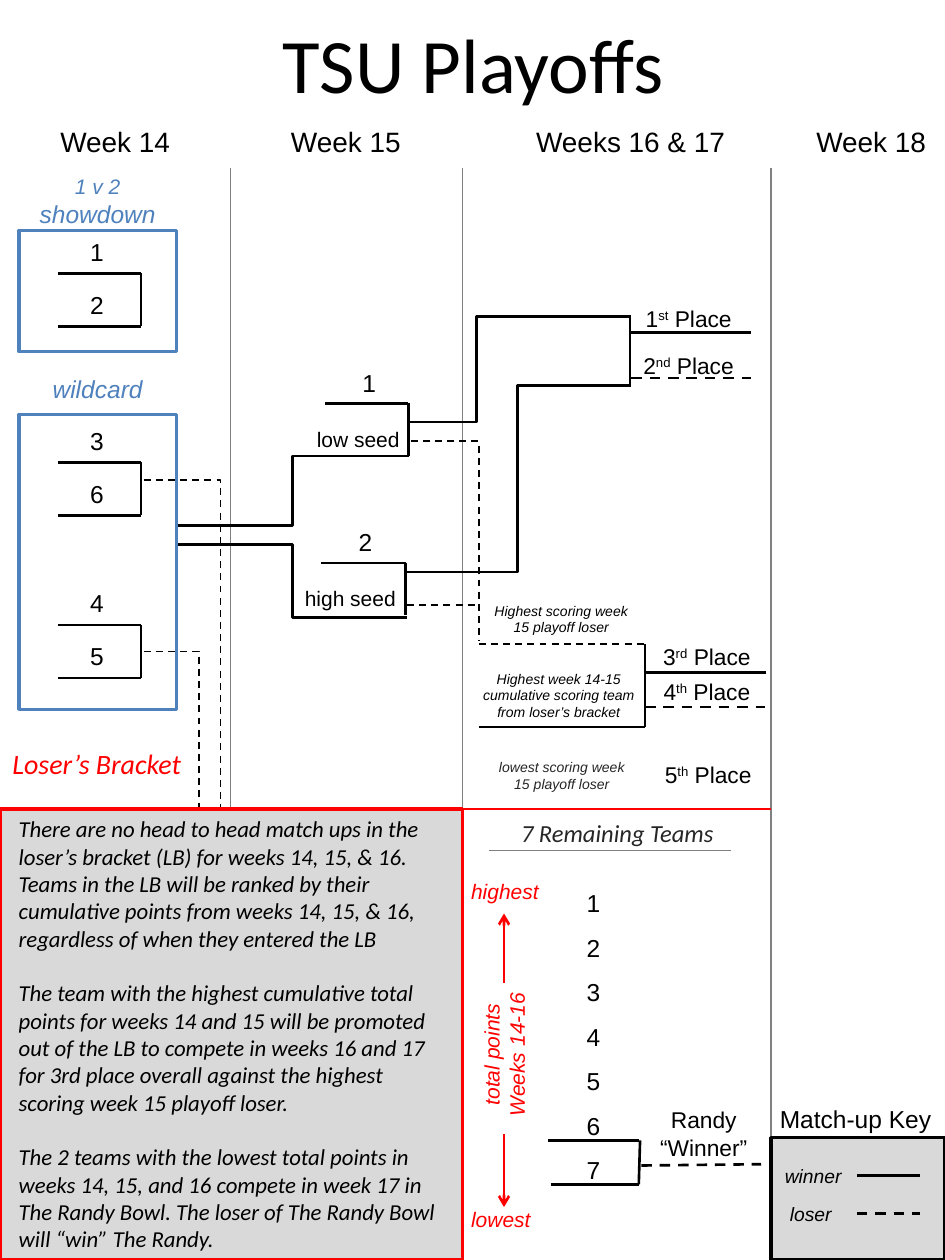
"""Build the TSU Playoffs bracket slide."""
from dataclasses import dataclass
from typing import Any, NamedTuple, Union

from lxml import etree
from pptx import Presentation, util as u
from pptx.dml.color import RGBColor
from pptx.enum import dml, shapes, text
from pptx.oxml.ns import qn

BLACK = RGBColor(0x00, 0x00, 0x00)
CHARCOAL = RGBColor(0x26, 0x26, 0x26)
GREY = RGBColor(0x80, 0x80, 0x80)
PANEL = RGBColor(0xD9, 0xD9, 0xD9)
RED = RGBColor(0xFF, 0x00, 0x00)
BLUE = RGBColor(0x4F, 0x81, 0xBD)
LEFT, CENTER, RIGHT = text.PP_ALIGN.LEFT, text.PP_ALIGN.CENTER, text.PP_ALIGN.RIGHT
CM_PER_UNIT = 2.54

RULES = (
    "There are no head to head match ups in the loser’s bracket (LB) for weeks 14, 15, & 16. "
    "Teams in the LB will be ranked by their cumulative points from weeks 14, 15, & 16, "
    "regardless of when they entered the LB\n"
    "The team with the highest cumulative total points for weeks 14 and 15 will be promoted "
    "out of the LB to compete in weeks 16 and 17 for 3rd place overall against the highest "
    "scoring week 15 playoff loser.\n"
    "The 2 teams with the lowest total points in weeks 14, 15, and 16 compete in week 17 in "
    "The Randy Bowl. The loser of The Randy Bowl will “win” The Randy."
)


class Run(NamedTuple):
    words: str
    size: float
    raised: bool = False


@dataclass
class Label:
    words: Union[str, tuple[Run, ...]]
    left: float
    top: float
    width: float
    height: float = 0.34
    size: float = 14
    color: RGBColor = BLACK
    italic: bool = False
    align: Any = CENTER
    font: str = "Arial"
    rotation: float = 0
    gap: float = 0


@dataclass
class Line:
    x1: float
    y1: float
    x2: float
    y2: float
    color: RGBColor = BLACK
    width: float = 1.5
    dashed: bool = False
    arrow: bool = False


class Box(NamedTuple):
    left: float
    top: float
    width: float
    height: float
    color: RGBColor
    fill: Any = None
    kind: Any = shapes.MSO_SHAPE.RECTANGLE


def cm(*units: float) -> list[u.Cm]:
    return [u.Cm(CM_PER_UNIT * unit) for unit in units]


def apply(target: Any, formats: dict[str, Any]) -> None:
    for attribute, value in formats.items():
        setattr(target, attribute, value)


def draw_label(canvas: Any, label: Label) -> None:
    holder = canvas.add_textbox(*cm(label.left, label.top, label.width, label.height))
    holder.rotation = label.rotation
    frame = holder.text_frame
    apply(frame, {"word_wrap": True, "auto_size": text.MSO_AUTO_SIZE.SHAPE_TO_FIT_TEXT})
    if isinstance(label.words, str):
        paragraphs = [(Run(words, label.size),) for words in label.words.split("\n")]
    else:
        paragraphs = [label.words]
    for index, runs in enumerate(paragraphs):
        paragraph = frame.add_paragraph() if index else frame.paragraphs[0]
        apply(paragraph, {"alignment": label.align, "space_after": u.Pt(label.gap)})
        for part in runs:
            run = paragraph.add_run()
            run.text = part.words
            apply(run.font, {"name": label.font, "size": u.Pt(part.size), "italic": label.italic})
            run.font.color.rgb = label.color
            if part.raised:
                run.font._element.set("baseline", "30000")


def style_line(connector: Any, line: Line) -> None:
    connector.line.color.rgb = line.color
    connector.line.width = u.Pt(line.width)
    if line.dashed:
        connector.line.dash_style = dml.MSO_LINE.DASH
    if line.arrow:
        etree.SubElement(connector.line._get_or_add_ln(), qn("a:tailEnd"), type="arrow")
    etree.SubElement(connector._element.spPr, qn("a:effectLst"))


def draw_line(canvas: Any, line: Line) -> None:
    ends = cm(line.x1, line.y1, line.x2, line.y2)
    style_line(canvas.add_connector(shapes.MSO_CONNECTOR.STRAIGHT, *ends), line)


def draw_elbow(canvas: Any, line: Line, bend: float) -> None:
    """Draw a bent line whose middle part sits at bend; a bend at x2 makes one corner."""
    corner = bend == line.x2
    x1, y1, x2, y2 = line.x1, line.y1, line.x2, line.y2
    ratio = (bend - x1) / (x2 - x1)
    if corner:
        middle_x, middle_y = (x1 + x2) / 2, (y1 + y2) / 2
        half_x, half_y = (x2 - x1) / 2, (y2 - y1) / 2
        x1, x2 = middle_x + half_y, middle_x - half_y
        y1, y2 = middle_y - half_x, middle_y + half_x
        ratio = 0
    connector = canvas.add_connector(shapes.MSO_CONNECTOR.ELBOW, *cm(x1, y1, x2, y2))
    properties = connector._element.spPr
    if corner:
        properties.find(qn("a:xfrm")).set("rot", str(270 * 60000))
    guides = properties.find(qn("a:prstGeom")).get_or_add_avLst()
    etree.SubElement(guides, qn("a:gd"), name="adj1", fmla=f"val {round(ratio * 100000)}")
    style_line(connector, line)


def draw_box(canvas: Any, box: Box) -> None:
    shape = canvas.add_shape(box.kind, *cm(box.left, box.top, box.width, box.height))
    shape.shadow.inherit = False
    if box.fill is None:
        shape.fill.background()
    else:
        shape.fill.solid()
        shape.fill.fore_color.rgb = box.fill
    shape.line.color.rgb = box.color
    shape.line.width = u.Pt(2)


def draw_game(canvas: Any, top: float, seeds: str) -> None:
    game = canvas.add_group_shape().shapes
    for index, seed in enumerate(seeds):
        y = top + 0.42 * index
        draw_line(game, Line(0.46, y, 1.12, y))
        draw_label(game, Label(seed, 0.46, y - 0.34, 0.62))
    draw_line(game, Line(1.12, top + 0.42, 1.12, top))


def draw_points_scale(canvas: Any) -> None:
    scale = canvas.add_group_shape().shapes
    for start, end in ((9, 9.58), (7.8, 7.25)):
        draw_line(scale, Line(4, start, 4, end, RED, arrow=True))
    for words, top in (("highest", 6.92), ("lowest", 9.53)):
        draw_label(scale, Label(words, 3.64, top, 0.75, 0.3, 12, RED, True, LEFT))
    draw_label(scale, Label("total points\nWeeks 14-16", 3.04, 8.12, 1.92, 0.5, 12, RED, True,
                            rotation=270))


def main() -> None:
    deck = Presentation()
    deck.slide_width, deck.slide_height = cm(7.5, 10)
    slide = deck.slides.add_slide(deck.slide_layouts[5])
    canvas = slide.shapes
    title = canvas.title
    apply(title, dict(zip(("left", "top", "width", "height"), cm(0.38, 0.08, 6.75, 0.83))))
    title.text_frame.text = "TSU Playoffs"
    title.text_frame.vertical_anchor = text.MSO_ANCHOR.MIDDLE
    heading = title.text_frame.paragraphs[0]
    heading.alignment = CENTER
    apply(heading.runs[0].font, {"name": "Calibri", "size": u.Pt(44)})
    heading.runs[0].font.color.rgb = BLACK

    for x in (1.83, 3.67, 6.12):
        draw_line(canvas, Line(x, 1.33, x, 9.25, GREY, 0.75))
    draw_line(canvas, Line(0, 6.42, 6.12, 6.42, RED))
    for week, left, width in (("Week 14", 0, 1.83), ("Week 15", 1.83, 1.83),
                              ("Weeks 16 & 17", 3.67, 2.67), ("Week 18", 6.33, 1.17)):
        draw_label(canvas, Label(week, left, 0.94, width, 0.37, 16))
    for top, seeds in ((2.17, "12"), (3.67, "36"), (4.96, "45")):
        draw_game(canvas, top, seeds)

    elbows = (
        (Line(1.14, 3.81, 1.75, 6.5, width=1, dashed=True), 1.75),
        (Line(1.14, 5.17, 1.58, 6.42, width=1, dashed=True), 1.58),
        (Line(3.26, 3.5, 3.8, 5.09, width=1, dashed=True), 3.8),
        (Line(3.25, 3.62, 1.39, 4.17), 2.32),
        (Line(3.23, 4.9, 1.4, 4.32), 2.32),
        (Line(5, 2.51, 3.23, 3.35), 3.78),
        (Line(5, 3.06, 3.23, 4.54), 4.11),
    )
    for line, bend in elbows:
        draw_elbow(canvas, line, bend)
    for ends in ((2.58, 3.2, 3.24, 3.2), (3.24, 3.62, 3.24, 3.2), (2.55, 4.47, 3.22, 4.47),
                 (3.22, 4.88, 3.22, 4.47), (5, 2.5, 5, 3.07), (5.01, 2.64, 5.96, 2.64),
                 (3.8, 5.77, 5.12, 5.77), (5.13, 5.34, 6.08, 5.34), (5.12, 5.77, 5.12, 5.11),
                 (4.35, 9.05, 5.07, 9.05), (4.37, 9.4, 5.07, 9.4), (5.08, 9.05, 5.07, 9.4)):
        draw_line(canvas, Line(*ends))
    for *ends, width in ((5.01, 3, 5.96, 3, 1.5), (5.12, 5.61, 6.07, 5.61, 1.5),
                         (5.09, 9.25, 6.04, 9.24, 1.5), (3.8, 5.11, 5.12, 5.11, 1),
                         (3.23, 4.8, 3.78, 4.8, 1)):
        draw_line(canvas, Line(*ends, width=width, dashed=True))
    draw_line(canvas, Line(3.88, 6.75, 5.8, 6.75, GREY, 1))

    for box in (Box(0.15, 3.29, 1.25, 2.34, BLUE), Box(0.15, 1.83, 1.25, 0.96, BLUE),
                Box(0, 6.42, 3.67, 3.58, RED, PANEL),
                Box(6.12, 9.03, 1.38, 0.97, BLACK, PANEL, shapes.MSO_SHAPE.FLOWCHART_PROCESS)):
        draw_box(canvas, box)
    draw_points_scale(canvas)

    for number, suffix, left, top, width in (
            ("1", "st", 4.99, 2.37, 0.95), ("2", "nd", 4.95, 2.74, 1.03),
            ("3", "rd", 5.09, 5.05, 1.04), ("4", "th", 5.09, 5.33, 1.04),
            ("5", "th", 5.1, 5.99, 1.04)):
        place = (Run(number, 13), Run(suffix, 13, True), Run(" Place", 13))
        draw_label(canvas, Label(place, left, top, width, 0.32))
    for rank in range(7):
        draw_label(canvas, Label(str(rank + 1), 4.4, 7 + 2.12 / 6 * rank, 0.62))
    for words, top, left, dashed in (("winner", 9.33, 6.13, False), ("loser", 9.63, 6.17, True)):
        draw_line(canvas, Line(6.8, top, 7.3, top, dashed=dashed))
        draw_label(canvas, Label(words, left, top - 0.14, 0.75, 0.29, 11, BLACK, True, LEFT))

    showdown = (Run("1 v 2 ", 12), Run("showdown", 14))
    for label in (
        Label(showdown, 0.15, 1.33, 1.25, 0.54, color=BLUE, italic=True),
        Label("wildcard", 0.15, 2.92, 1.25, color=BLUE, italic=True),
        Label("1", 2.62, 2.87, 0.62),
        Label("low seed", 2.32, 3.34, 0.95, 0.3, 12, align=RIGHT),
        Label("2", 2.59, 4.13, 0.62),
        Label("high seed", 2.32, 4.6, 0.92, 0.3, 12, align=RIGHT),
        Label("Highest scoring week 15 playoff loser", 3.75, 4.73, 1.41, 0.37, 8, italic=True),
        Label("Highest week 14-15 cumulative scoring team from loser’s bracket",
              3.64, 5.27, 1.59, 0.5, 8, italic=True),
        Label("lowest scoring week 15 playoff loser", 3.84, 5.97, 1.24, 0.37, 8, CHARCOAL, True),
        Label("Loser’s Bracket", 0, 5.88, 1.58, 0.37, 16, RED, True, LEFT, "Calibri"),
        Label(RULES, 0.05, 6.42, 3.58, 3.6, 13, BLACK, True, LEFT, "Calibri", gap=15.6),
        Label("7 Remaining Teams", 3.67, 6.44, 2.46, 0.34, 14, CHARCOAL, True, font="Calibri"),
        Label("Randy “Winner”", 5.07, 8.73, 1.03, 0.54, 13),
        Label("Match-up Key", 6.08, 8.71, 1.42),
    ):
        draw_label(canvas, label)
    deck.save("out.pptx")


if __name__ == "__main__":
    main()
